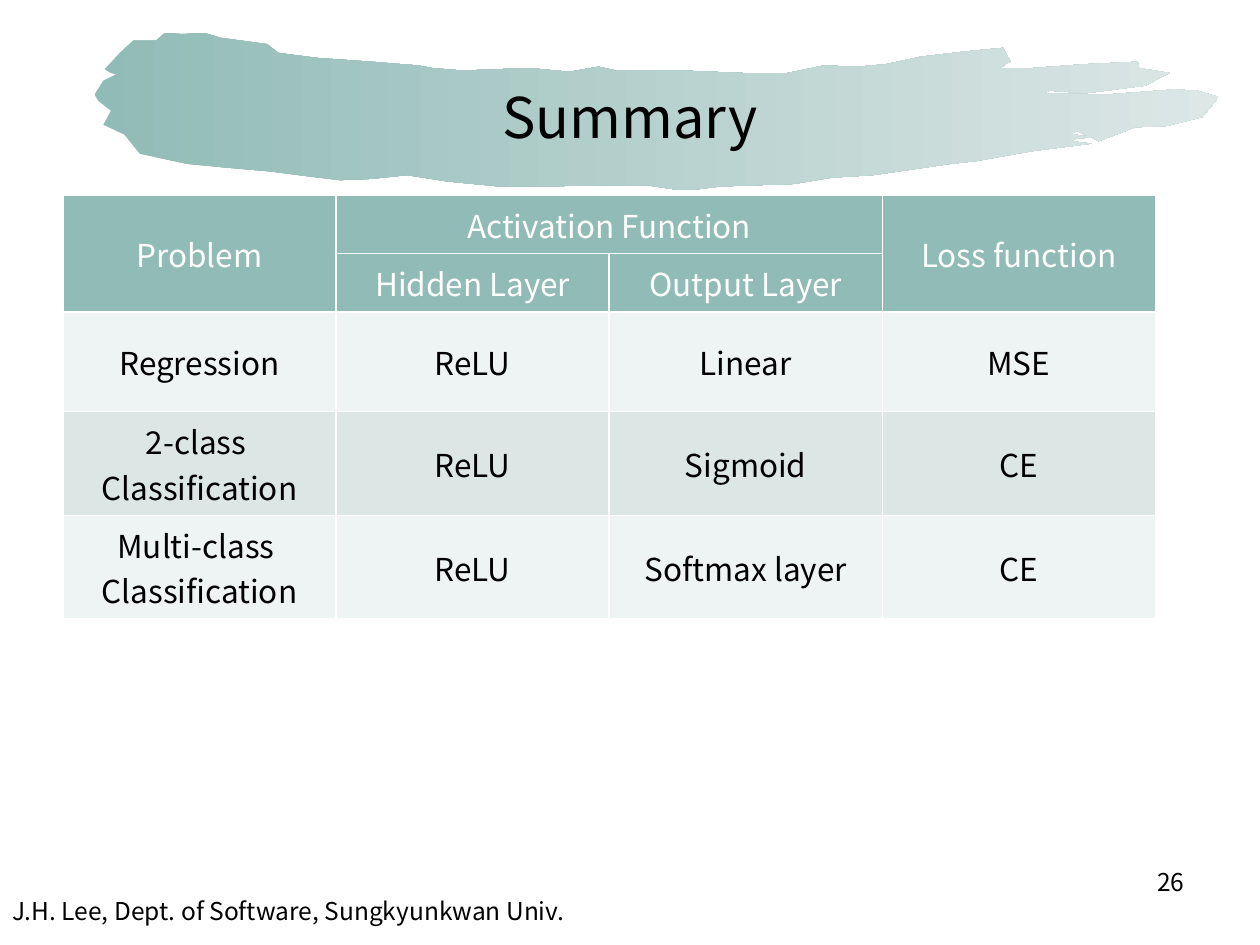
from lxml.etree import SubElement
from pptx import Presentation
from pptx.dml.color import RGBColor
from pptx.enum.text import MSO_ANCHOR, PP_ALIGN
from pptx.oxml.ns import qn
from pptx.util import Cm, Pt

FONT = "Noto Sans CJK KR"
BLACK, WHITE, TEAL, PALE = "000000", "FFFFFF", "91BBB6", "DCE7E6"
BANDS = ["EEF3F3", "DCE7E5"]

# Content: text, box (left, top, width, height in cm), format, anchor
TEXTS = [
    ("Summary", (1.27, 0.76, 22.86, 3.18),
     {"size": 32, "alignment": PP_ALIGN.CENTER}, MSO_ANCHOR.MIDDLE),
    ("J.H. Lee, Dept. of Software, Sungkyunkwan Univ.", (0, 17.93, 12.9, 0.71),
     {"size": 14, "alignment": PP_ALIGN.LEFT}, MSO_ANCHOR.TOP),
    ("26", (18.21, 17.35, 5.92, 1.32),
     {"size": 14, "alignment": PP_ALIGN.RIGHT}, MSO_ANCHOR.TOP),
]
HEADER_ROWS = 2
TABLE_ROWS = [
    ["Problem", "Activation Function", "", "Loss function"],
    ["", "Hidden Layer", "Output Layer", ""],
    ["Regression", "ReLU", "Linear", "MSE"],
    ["2-class \vClassification", "ReLU", "Sigmoid", "CE"],
    ["Multi-class \vClassification", "ReLU", "Softmax layer", "CE"],
]
MERGES = [((0, 0), (1, 0)), ((0, 1), (0, 2)), ((0, 3), (1, 3))]
ROW_HEIGHTS = [1.17, 1.17, 2.01, 2.03, 2.03]
COLUMN_WIDTH = 5.505

# Brush stroke outline, in hundredths of an inch
BRUSH = [
    (131, 26), (124, 32), (106, 32), (95, 42), (83, 55), (88, 58), (92, 59),
    (82, 64), (75, 75), (78, 80), (88, 88), (82, 99), (99, 107), (111, 122),
    (148, 130), (179, 133), (214, 136), (245, 140), (270, 143), (295, 142),
    (323, 139), (355, 144), (396, 148), (430, 148), (483, 147), (513, 147),
    (540, 151), (556, 150), (572, 148), (630, 146), (660, 141), (693, 139),
    (755, 130), (774, 128), (819, 120), (866, 114), (850, 112), (854, 110),
    (869, 109), (854, 107), (850, 106), (855, 104), (872, 112), (901, 101),
    (926, 100), (954, 93), (964, 81), (967, 77), (950, 72), (932, 71),
    (879, 75), (828, 74), (833, 72), (862, 74), (909, 68), (928, 58),
    (904, 54), (903, 49), (860, 51), (820, 54), (794, 54), (798, 51),
    (802, 49), (796, 38), (765, 41), (731, 45), (703, 51), (680, 53),
    (654, 52), (625, 58), (590, 58), (541, 56), (489, 56), (475, 53),
    (452, 57), (420, 54), (367, 56), (343, 54), (332, 52), (295, 49),
    (252, 46), (221, 42), (212, 35), (175, 30), (162, 26), (145, 27),
]


def color(value):
    return RGBColor.from_string(value)


def format_paragraph(paragraph, alignment, size, font_color=BLACK):
    paragraph.alignment = alignment
    values = {"name": FONT, "size": Pt(size)}
    for name, value in values.items():
        setattr(paragraph.font, name, value)
    paragraph.font.color.rgb = color(font_color)


def add_brush(slide):
    builder = slide.shapes.build_freeform(*BRUSH[0], scale=Cm(2.54) / 100)
    builder.add_line_segments(BRUSH[1:], close=True)
    shape = builder.convert_to_shape()
    shape.shadow.inherit = False
    shape.line.fill.background()
    shape.fill.gradient()
    shape.fill.gradient_angle = 0
    for stop, position, value in zip(shape.fill.gradient_stops, (0, 1), (TEAL, PALE)):
        stop.position = position
        stop.color.rgb = color(value)


def add_text(slide, text, box, values, anchor):
    frame = slide.shapes.add_textbox(*map(Cm, box)).text_frame
    frame.word_wrap = True
    frame.vertical_anchor = anchor
    frame.text = text
    format_paragraph(frame.paragraphs[0], **values)


def add_borders(cell):
    properties = cell._tc.get_or_add_tcPr()
    for side in ("lnL", "lnR", "lnT", "lnB"):
        line = SubElement(properties, qn(f"a:{side}"), w=str(Pt(1)))
        fill = SubElement(line, qn("a:solidFill"))
        SubElement(fill, qn("a:srgbClr"), val=WHITE)


def add_summary_table(slide):
    columns = len(TABLE_ROWS[0])
    table = slide.shapes.add_table(
        len(TABLE_ROWS), columns, Cm(1.27), Cm(3.94),
        Cm(COLUMN_WIDTH * columns), Cm(sum(ROW_HEIGHTS))).table
    for column in table.columns:
        column.width = Cm(COLUMN_WIDTH)
    for row, height in zip(table.rows, ROW_HEIGHTS):
        row.height = Cm(height)
    for first, last in MERGES:
        table.cell(*first).merge(table.cell(*last))

    for i, texts in enumerate(TABLE_ROWS):
        is_header = i < HEADER_ROWS
        background = TEAL if is_header else BANDS[(i - HEADER_ROWS) % 2]
        for j, text in enumerate(texts):
            cell = table.cell(i, j)
            add_borders(cell)
            cell.fill.solid()
            cell.fill.fore_color.rgb = color(background)
            cell.vertical_anchor = MSO_ANCHOR.MIDDLE
            cell.text = text
            format_paragraph(cell.text_frame.paragraphs[0], PP_ALIGN.CENTER, 18,
                             WHITE if is_header else BLACK)


def main():
    presentation = Presentation()
    presentation.slide_width, presentation.slide_height = Cm(25.4), Cm(19.05)
    slide = presentation.slides.add_slide(presentation.slide_layouts[6])
    add_brush(slide)
    add_summary_table(slide)
    for item in TEXTS:
        add_text(slide, *item)
    presentation.save("out.pptx")


if __name__ == "__main__":
    main()
